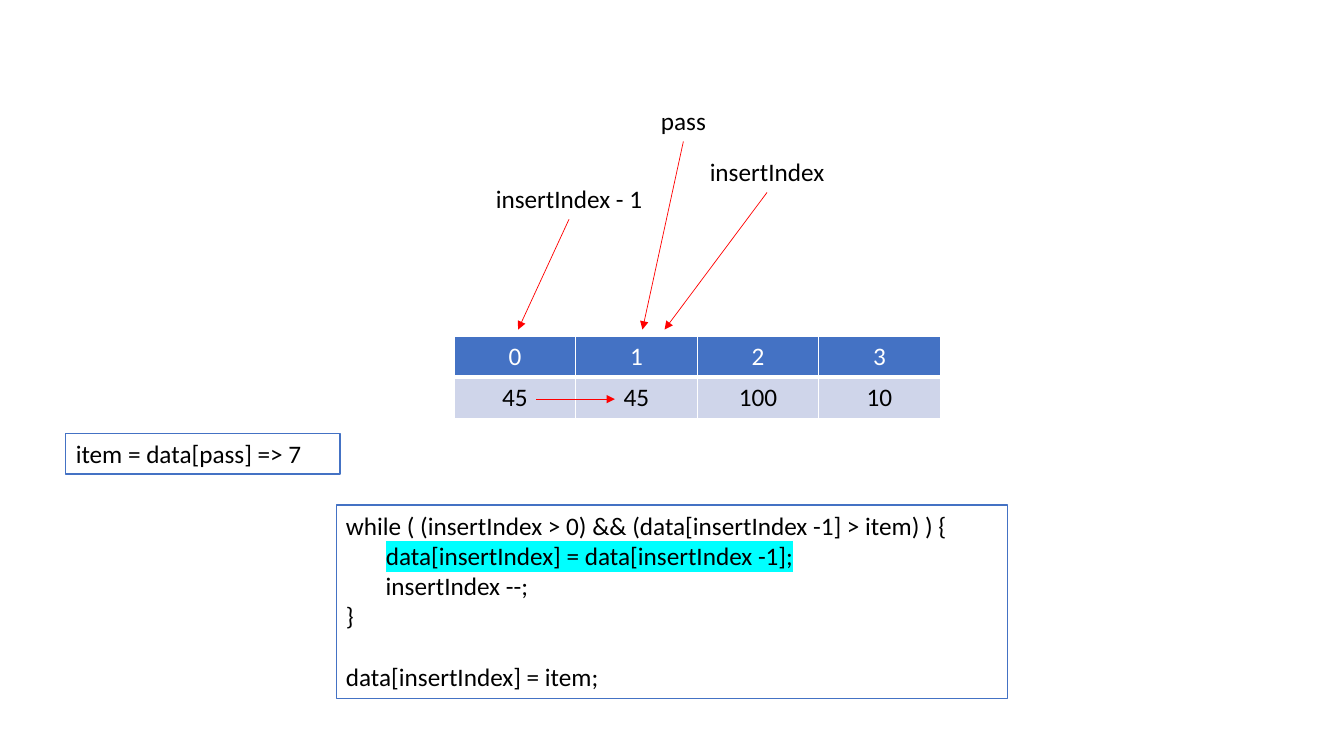
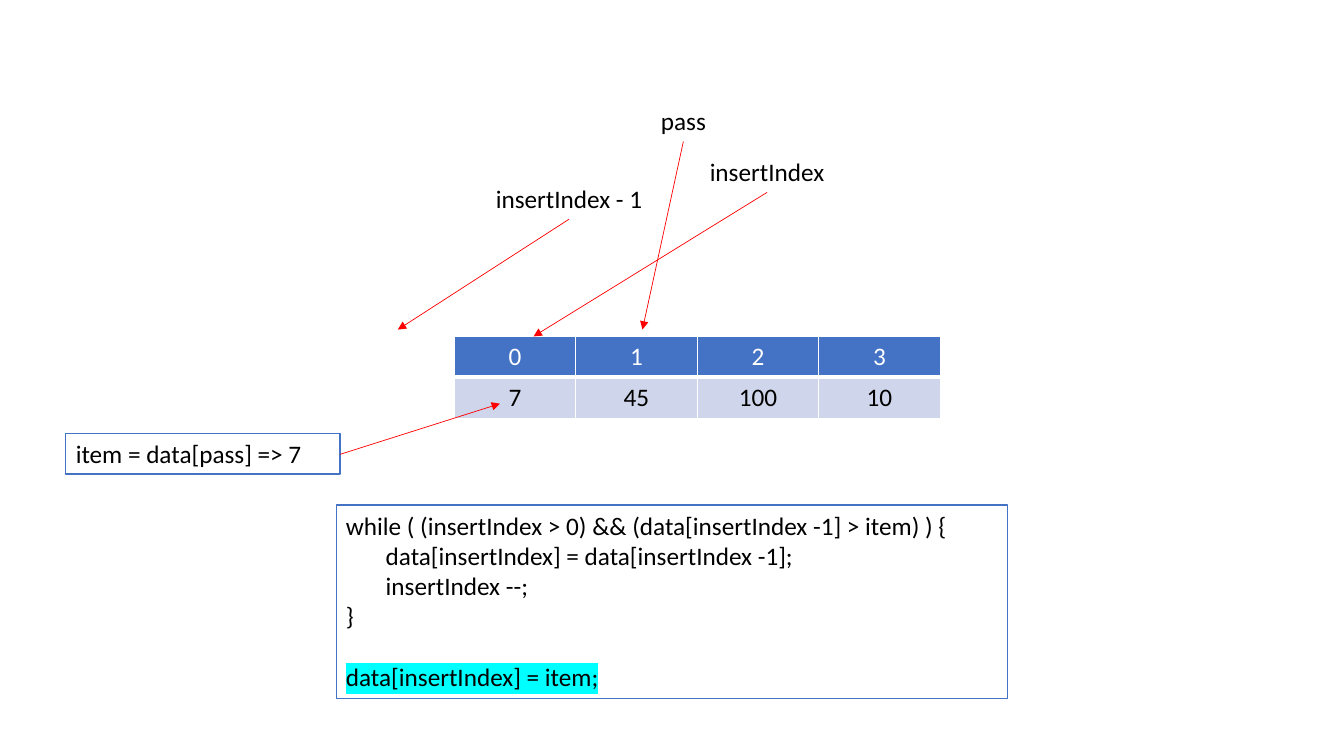
from lxml import etree
from pptx import Presentation
from pptx.dml.color import RGBColor
from pptx.enum.shapes import MSO_CONNECTOR
from pptx.enum.text import MSO_ANCHOR, PP_ALIGN
from pptx.oxml.ns import qn
from pptx.util import Inches, Pt

BLACK = RGBColor(0x00, 0x00, 0x00)
WHITE = RGBColor(0xFF, 0xFF, 0xFF)
BLUE = RGBColor(0x44, 0x72, 0xC4)
PALE = RGBColor(0xCF, 0xD5, 0xEA)
RED = RGBColor(0xFF, 0x00, 0x00)
CYAN = RGBColor(0x00, 0xFF, 0xFF)
LEFT, CENTER = PP_ALIGN.LEFT, PP_ALIGN.CENTER
TOP, MIDDLE = MSO_ANCHOR.TOP, MSO_ANCHOR.MIDDLE
STRAIGHT = MSO_CONNECTOR.STRAIGHT
FONT, SIZE, LINE = "Calibri", Pt(18), Pt(22)

deck = Presentation()
deck.slide_width, deck.slide_height = Inches(13.33), Inches(7.5)
COL, ROW = deck.slide_width / 100, deck.slide_height / 100  # grid of 100 x 100

# Shared layout, in grid columns and rows
HIGH = 5.4  # height of one text line box and one table row
GRID = (33.8, 44.5, 36.16, 2 * HIGH)
LABELS = [
    ("insertIndex - 1", 35.85, 23.6, 12.98),
    ("pass", 47.8, 13.3, 6.1),
    ("insertIndex", 51.9, 20.05, 10.35),
]
ITEM = (4.9, 57.3, 20.4, HIGH)
CODE = (25, 66.8, 50, 25.6)
LINES = [
    "while ( (insertIndex > 0) && (data[insertIndex -1] > item) ) {",
    "       data[insertIndex] = data[insertIndex -1];",
    "       insertIndex --;",
    "}",
    "data[insertIndex] = item;",
]

# What differs: cell values, highlighted line, label arrow tips, value arrow
STEPS = [
    (["45", "45", "100", "10"], 1,
     [(38.55, 43.6), (47.8, 43.6), (49.45, 43.6)],
     (39.9, 52.8, 45.75, 52.8)),
    (["7", "45", "100", "10"], 4,
     [(29.6, 43.6), (47.8, 43.6), (39.7, 44.5)],
     (25.3, 60.1, 37.2, 53.4)),
]


def place(x, y, *more):
    """Turn grid columns and rows into slide lengths."""
    return [int(n * unit) for n, unit in zip((x, y) + more, (COL, ROW) * 2)]


def write(para, text, color=BLACK, align=LEFT, mark=None):
    """Add one run, with a highlight if mark is given."""
    para.alignment = align
    run = para.add_run()
    run.text = text
    run.font.size, run.font.name = SIZE, FONT
    run.font.color.rgb = color
    if mark is not None:
        glow = etree.Element(qn("a:highlight"))
        etree.SubElement(glow, qn("a:srgbClr"), val=str(mark))
        run.font.fill
        run._r.rPr.find(qn("a:solidFill")).addnext(glow)


for values, hot, tips, move in STEPS:
    slide = deck.slides.add_slide(deck.slide_layouts[6])
    shapes = slide.shapes

    # Array table
    table = shapes.add_table(2, len(values), *place(*GRID)).table
    rows = [
        ([str(i) for i in range(len(values))], WHITE, BLUE, 3),
        (values, BLACK, PALE, 1),
    ]
    for r, (texts, ink, fill, base) in enumerate(rows):
        for c, text in enumerate(texts):
            cell = table.cell(r, c)
            write(cell.text_frame.paragraphs[0], text, ink, CENTER)
            cell.vertical_anchor = TOP
            props = cell._tc.get_or_add_tcPr()
            for side, width in zip("LRTB", (1, 1, 1, base)):
                edge = etree.SubElement(props, qn("a:ln" + side), w=str(Pt(width)))
                paint = etree.SubElement(edge, qn("a:solidFill"))
                etree.SubElement(paint, qn("a:srgbClr"), val=str(WHITE))
            cell.fill.solid()
            cell.fill.fore_color.rgb = fill

    # Labels and framed boxes
    boxes = [((x, y, w, HIGH), [text], CENTER) for text, x, y, w in LABELS]
    boxes += [(ITEM, ["item = data[pass] => 7"], LEFT), (CODE, LINES, LEFT)]
    for area, texts, align in boxes:
        box = shapes.add_textbox(*place(*area))
        frame = box.text_frame
        frame.word_wrap = True
        if align == LEFT:
            box.line.color.rgb, box.line.width = BLUE, Pt(0.75)
        for i, text in enumerate(texts):
            para = frame.paragraphs[0] if i == 0 else frame.add_paragraph()
            body = text.lstrip()
            pad = text[:len(text) - len(body)]
            if pad:
                write(para, pad)
            marked = texts is LINES and i == hot
            write(para, body, align=align, mark=CYAN if marked else None)
        if texts is LINES:
            para.space_before = LINE  # gap before the last statement

    # Arrows from the labels, then the value being moved
    paths = [(x + w / 2, y + HIGH, *tip)
             for (_, x, y, w), tip in zip(LABELS, tips)]
    for ends in paths + [move]:
        arrow = shapes.add_connector(STRAIGHT, *place(*ends))
        arrow.line.color.rgb, arrow.line.width = RED, Pt(0.5)
        etree.SubElement(arrow.line._get_or_add_ln(), qn("a:tailEnd"), type="triangle")
        etree.SubElement(arrow._element.spPr, qn("a:effectLst"))

deck.save("out.pptx")
